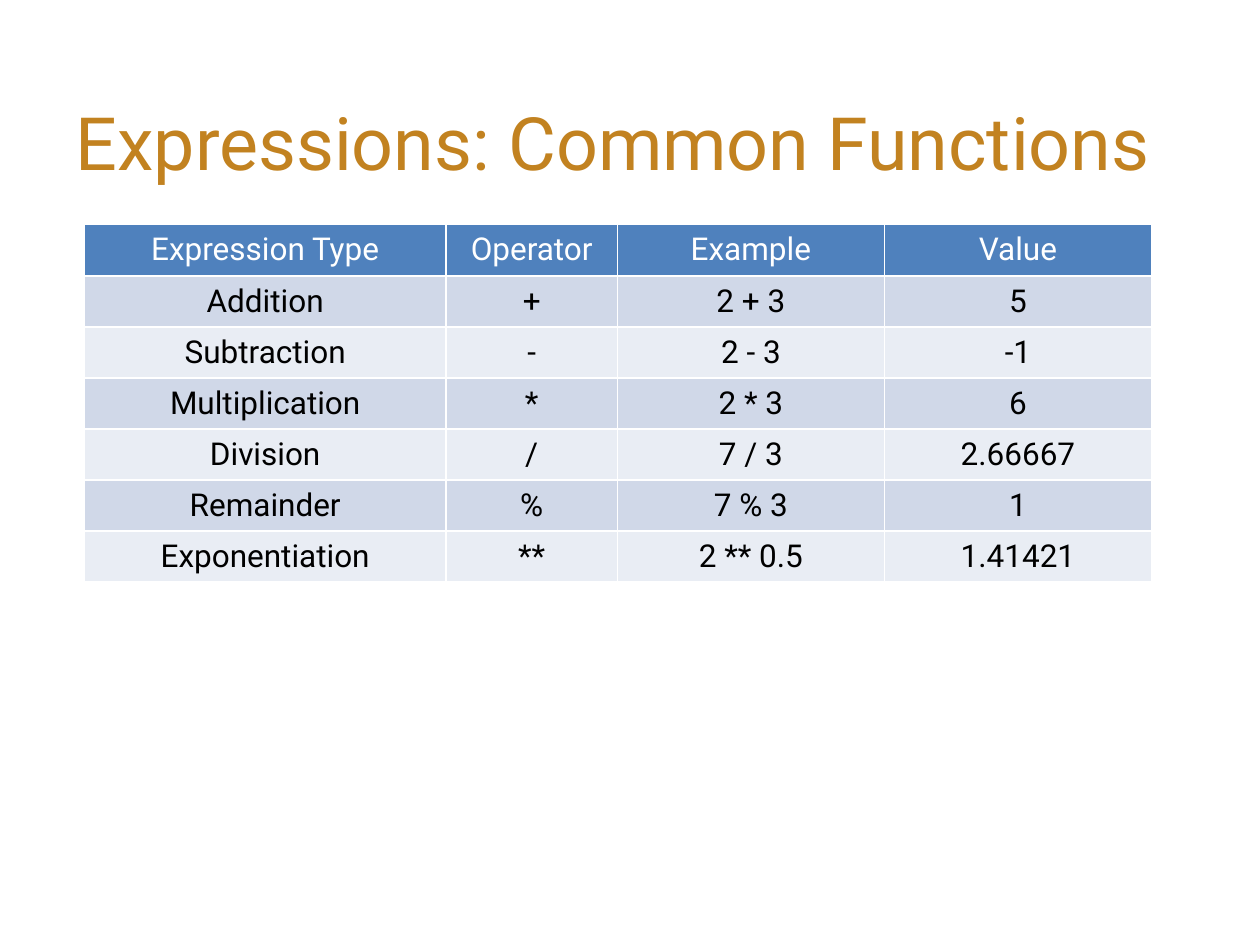
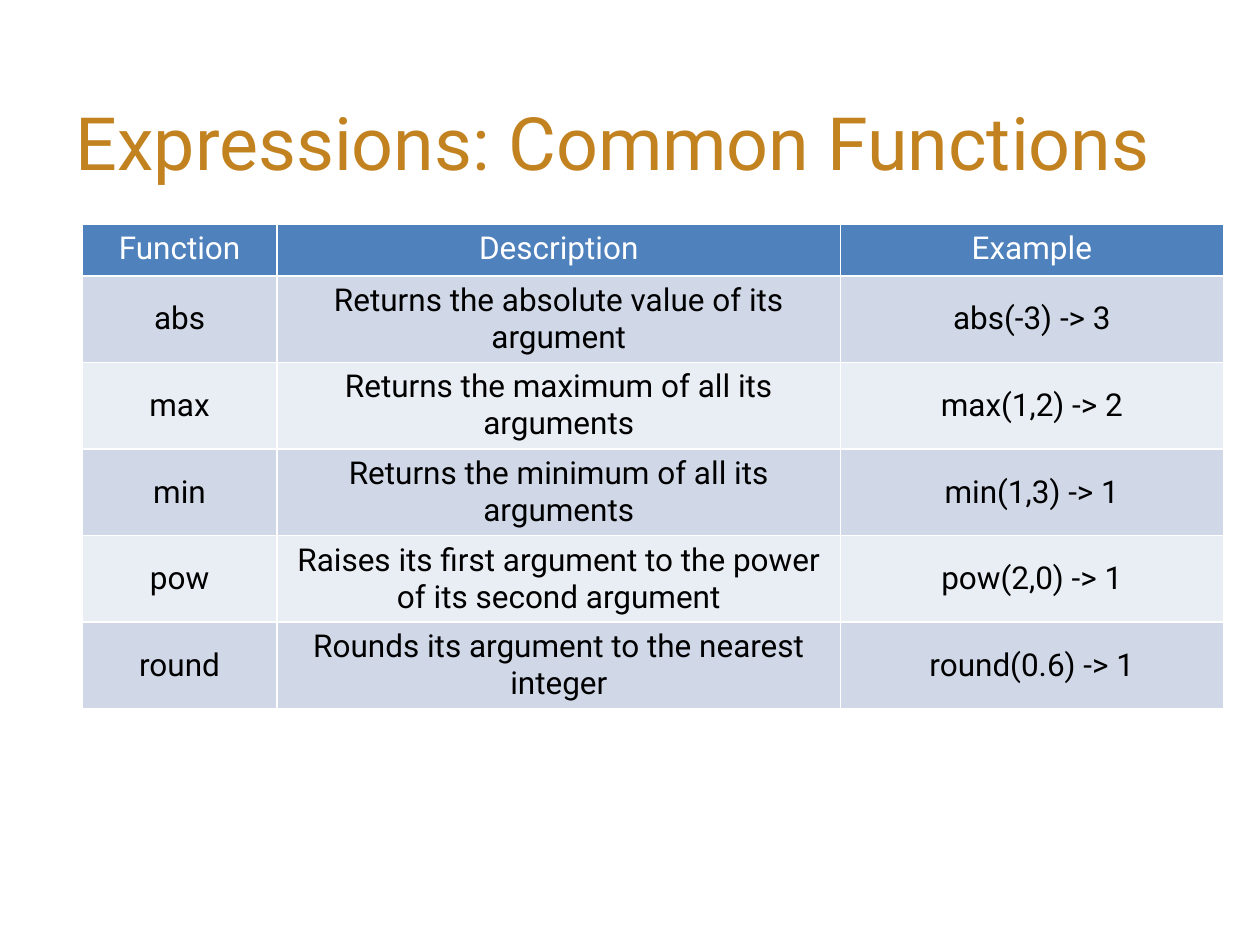
from lxml import etree
from pptx import Presentation
from pptx import util as u
from pptx.dml.color import RGBColor
from pptx.enum import text
from pptx.oxml import ns

FONT = "Roboto"
TITLE = "Expressions: Common Functions"
GOLD, BLUE, WHITE, BLACK = "C28220", "4F81BD", "FFFFFF", "000000"
BANDS = ("D0D8E8", "E9EDF4")
TABLE_TOP, HEADER_HEIGHT = 1.78, 0.41
MIDDLE = text.MSO_ANCHOR.MIDDLE

OPERATORS = [
    ("Expression Type", "Operator", "Example", "Value"),
    ("Addition", "+", "2 + 3", "5"),
    ("Subtraction", "-", "2 - 3", "-1"),
    ("Multiplication", "*", "2 * 3", "6"),
    ("Division", "/", "7 / 3", "2.66667"),
    ("Remainder", "%", "7 % 3", "1"),
    ("Exponentiation", "**", "2 ** 0.5", "1.41421"),
]
FUNCTIONS = [
    ("Function", "Description", "Example"),
    ("abs", "Returns the absolute value of its argument", "abs(-3) -> 3"),
    ("max", "Returns the maximum of all its arguments", "max(1,2) -> 2"),
    ("min", "Returns the minimum of all its arguments", "min(1,3) -> 1"),
    ("pow", "Raises its first argument to the power of its second argument",
     "pow(2,0) -> 1"),
    ("round", "Rounds its argument to the nearest integer", "round(0.6) -> 1"),
]


def rgb(color):
    return RGBColor.from_string(color)


def write(frame, words, size=18, color=BLACK, align=text.PP_ALIGN.CENTER):
    para = frame.paragraphs[0]
    para.alignment = align
    span = para.add_run()
    span.text = words
    span.font.name = FONT
    span.font.size = u.Pt(size)
    span.font.color.rgb = rgb(color)


def add_borders(cell, color=WHITE, width=1):
    """Draw all four sides; the lines must precede the fill in the cell's XML."""
    properties = cell._tc.get_or_add_tcPr()
    for index, side in enumerate(("lnL", "lnR", "lnT", "lnB")):
        line = etree.Element(ns.qn(f"a:{side}"), w=str(u.Pt(width)))
        fill = etree.SubElement(line, ns.qn("a:solidFill"))
        etree.SubElement(fill, ns.qn("a:srgbClr"), val=color)
        properties.insert(index, line)


def add_titled_slide(deck):
    slide = deck.slides.add_slide(deck.slide_layouts.get_by_name("Title Only"))
    title = slide.shapes.title
    title.left, title.top = u.Inches(0.5), u.Inches(0.49)
    title.width, title.height = u.Inches(9.06), u.Inches(1.26)
    title.text_frame.vertical_anchor = MIDDLE
    write(title.text_frame, TITLE, size=42, color=GOLD, align=text.PP_ALIGN.LEFT)
    return slide


def add_banded_table(slide, rows, left, widths, height, header_anchor=MIDDLE):
    table = slide.shapes.add_table(
        len(rows), len(widths), u.Inches(left), u.Inches(TABLE_TOP),
        u.Inches(sum(widths)), u.Inches(height)).table
    for column, width in zip(table.columns, widths):
        column.width = u.Inches(width)
    body_height = (height - HEADER_HEIGHT) / (len(rows) - 1)
    for r, values in enumerate(rows):
        header = r == 0
        table.rows[r].height = u.Inches(HEADER_HEIGHT if header else body_height)
        for c, value in enumerate(values):
            cell = table.cell(r, c)
            cell.vertical_anchor = header_anchor if header else MIDDLE
            cell.fill.solid()
            cell.fill.fore_color.rgb = rgb(BLUE if header else BANDS[(r - 1) % 2])
            add_borders(cell)
            write(cell.text_frame, value, color=WHITE if header else BLACK)


def main():
    deck = Presentation()
    deck.slide_width, deck.slide_height = u.Inches(10), u.Inches(7.5)
    add_banded_table(add_titled_slide(deck), OPERATORS, left=0.67,
                     widths=(2.87, 1.36, 2.12, 2.12), height=2.84)
    add_banded_table(add_titled_slide(deck), FUNCTIONS, left=0.65,
                     widths=(1.55, 4.47, 3.04), height=3.84,
                     header_anchor=text.MSO_ANCHOR.TOP)
    deck.save("out.pptx")


if __name__ == "__main__":
    main()
